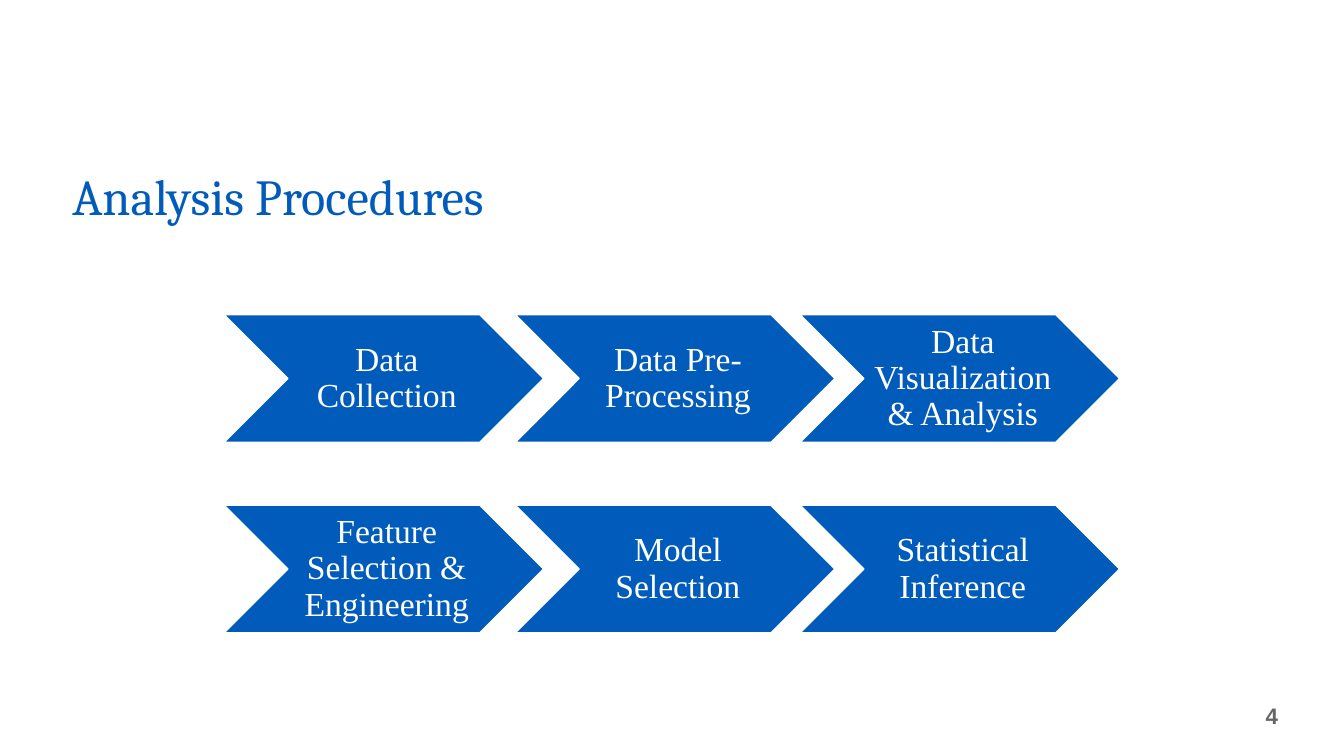
from pptx import Presentation
from pptx.dml.color import RGBColor
from pptx.enum.shapes import MSO_SHAPE
from pptx.enum.text import MSO_ANCHOR, PP_ALIGN
from pptx.util import Pt

COLORS = {"blue": "005BBB", "white": "FFFFFF", "gray": "666666"}

STEPS = [
    ["Data Collection", "Data Pre-Processing", "Data Visualization & Analysis"],
    ["Feature Selection & Engineering", "Model Selection", "Statistical Inference"],
]
COLUMN_LEFTS = [160, 368, 571.5]
ROW_TOPS = [224.7, 360.8]
CHEVRON_WIDTH, CHEVRON_HEIGHT = 228.3, 91.3


def write_text(shape, text, font_name, size, color, align, anchor, bold=False):
    frame = shape.text_frame
    frame.word_wrap = True
    frame.vertical_anchor = anchor
    paragraph = frame.paragraphs[0]
    paragraph.text = text
    paragraph.alignment = align
    paragraph.line_spacing = 0.9
    font = paragraph.font
    font.name = font_name
    font.size = Pt(size)
    font.bold = bold
    font.color.rgb = RGBColor.from_string(COLORS[color])
    return frame


presentation = Presentation()
presentation.slide_width = Pt(960)
presentation.slide_height = Pt(540)
slide = presentation.slides.add_slide(presentation.slide_layouts[6])

title = slide.shapes.add_textbox(Pt(44.6), Pt(118), Pt(547), Pt(47))
write_text(title, "Analysis Procedures", "Cambria", 36, "blue",
           PP_ALIGN.LEFT, MSO_ANCHOR.BOTTOM)

page_number = slide.shapes.add_textbox(Pt(596), Pt(497.5), Pt(324), Pt(29))
write_text(page_number, "4", "Arial", 16, "gray",
           PP_ALIGN.RIGHT, MSO_ANCHOR.MIDDLE, bold=True)

for top, row in zip(ROW_TOPS, STEPS):
    for left, step in zip(COLUMN_LEFTS, row):
        chevron = slide.shapes.add_shape(
            MSO_SHAPE.CHEVRON, Pt(left), Pt(top), Pt(CHEVRON_WIDTH), Pt(CHEVRON_HEIGHT))
        chevron.shadow.inherit = False
        chevron.fill.solid()
        chevron.fill.fore_color.rgb = RGBColor.from_string(COLORS["blue"])
        chevron.line.color.rgb = RGBColor.from_string(COLORS["white"])
        chevron.line.width = Pt(1)
        frame = write_text(chevron, step, "Times New Roman", 24, "white",
                           PP_ALIGN.CENTER, MSO_ANCHOR.MIDDLE)
        frame.margin_left = Pt(7.2)
        frame.margin_right = frame.margin_top = frame.margin_bottom = Pt(2.8)

presentation.save("out.pptx")
